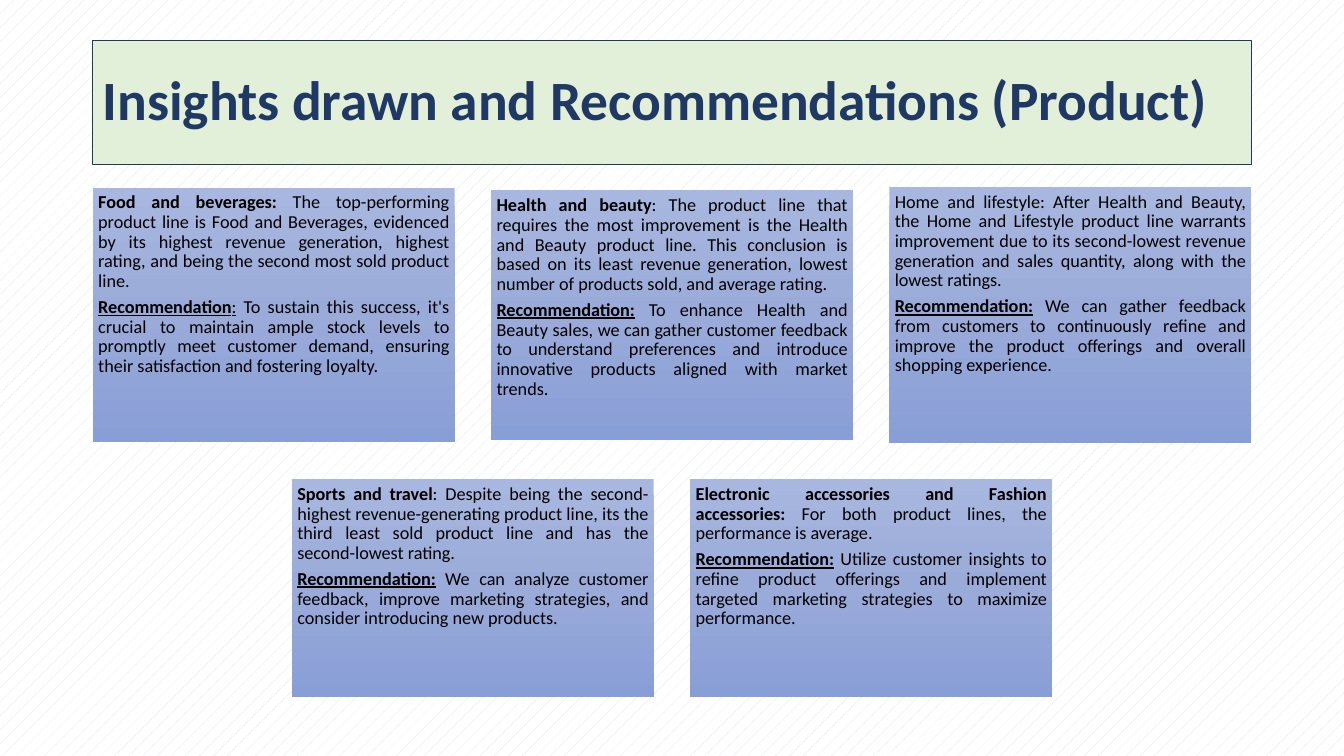
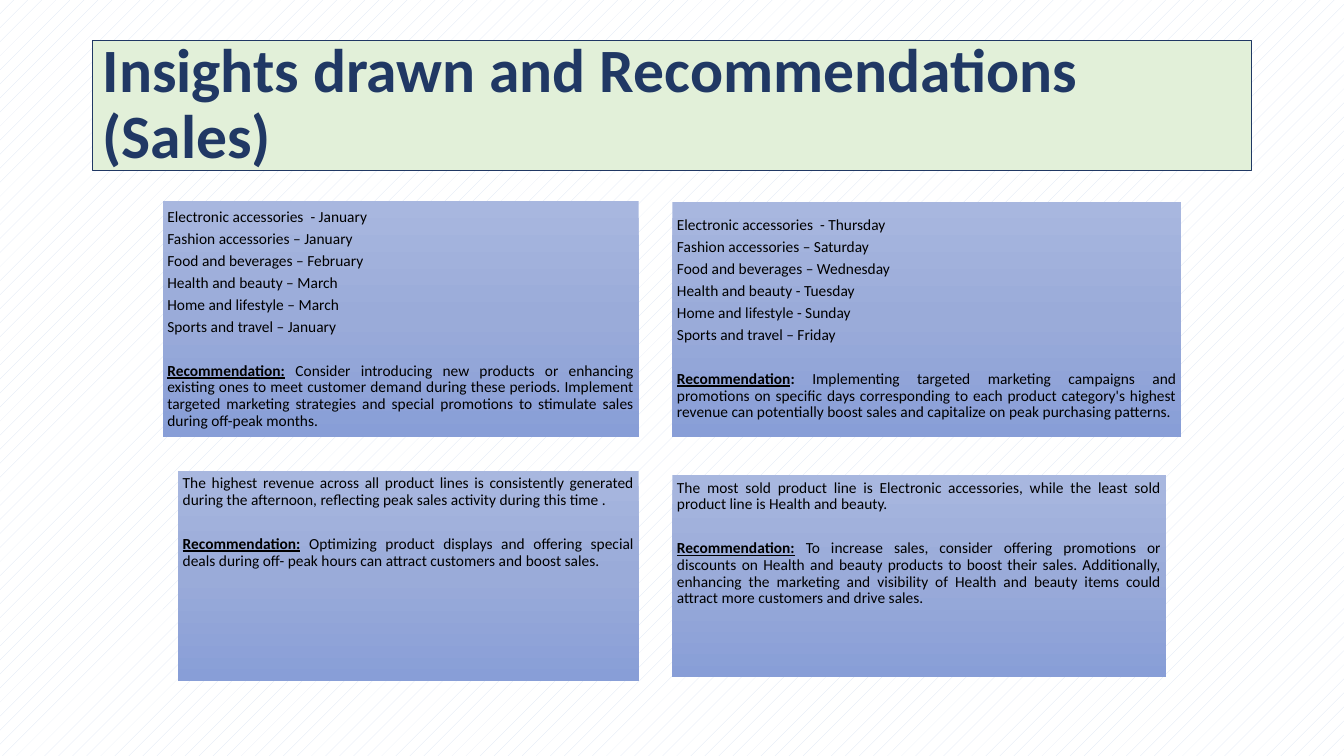
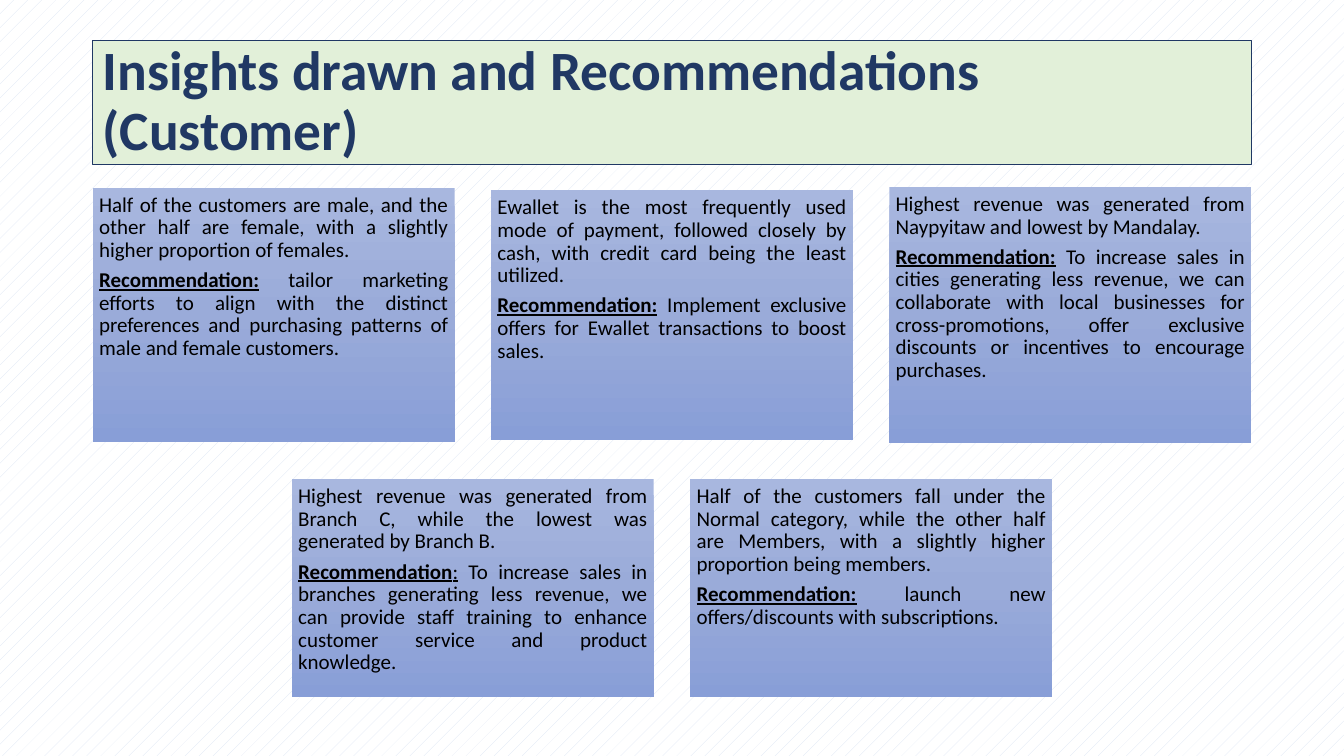
"""Build three slides of retail insights and recommendations."""
from copy import deepcopy

from pptx import Presentation
from pptx.dml.color import RGBColor
from pptx.enum.dml import MSO_PATTERN
from pptx.enum.shapes import MSO_SHAPE
from pptx.enum.text import MSO_ANCHOR, PP_ALIGN
from pptx.oxml.ns import qn
from pptx.util import Pt

NAVY = RGBColor(0x20, 0x38, 0x64)
PALE_GREEN = RGBColor(0xE2, 0xF0, 0xD9)
PALE_BLUE = RGBColor(0xDA, 0xE3, 0xF3)
WHITE = RGBColor(0xFF, 0xFF, 0xFF)
BLACK = RGBColor(0, 0, 0)
PANEL_GRADIENT = [
    (0, RGBColor(0xA8, 0xB7, 0xDF)),
    (0.5, RGBColor(0x9A, 0xAB, 0xD9)),
    (1, RGBColor(0x88, 0x9E, 0xD7)),
]
FONT = "Calibri"
LINE_SPACING = 0.9
SLIDE_WIDTH, SLIDE_HEIGHT = 960, 540
TITLE_LEFT, TITLE_TOP, TITLE_WIDTH = 66.25, 28.75, 827.5

PLAIN, BOLD, UNDERLINED, LABEL = (False, False), (True, False), (False, True), (True, True)
RECOMMENDATION = [("Recommendation:", LABEL)]
LIGHT_COLON = [("Recommendation", LABEL), (":", UNDERLINED)]
BOLD_COLON = [("Recommendation", LABEL), (":", BOLD)]

FIVE_PANEL_ROWS = [
    {"middle": 225, "gap": 26, "sizes": [(258.5, 182), (258.5, 178), (258.5, 183)]},
    {"middle": 420, "gap": 26, "sizes": [(258.5, 155.5)] * 2},
]
FOUR_PANEL_ROWS = [
    {"middle": 228, "gap": 24, "sizes": [(340, 168.5), (363.5, 168)]},
    {"middle": 411.5, "gap": 24, "sizes": [(329, 150), (352.5, 144)]},
]

SLIDES = [
    {
        "title": "Insights drawn and Recommendations (Product)",
        "title_size": 39.6, "title_height": 89, "size": 13, "advice_gap": 0,
        "rows": FIVE_PANEL_ROWS,
        "panels": [
            ([("Food and beverages:", " The top-performing product line is Food and Beverages, "
               "evidenced by its highest revenue generation, highest rating, and being the "
               "second most sold product line.")],
             LIGHT_COLON,
             "To sustain this success, it's crucial to maintain ample stock levels to promptly "
             "meet customer demand, ensuring their satisfaction and fostering loyalty."),
            ([("Health and beauty", ": The product line that requires the most improvement is "
               "the Health and Beauty product line. This conclusion is based on its least "
               "revenue generation, lowest number of products sold, and average rating.")],
             RECOMMENDATION,
             "To enhance Health and Beauty sales, we can gather customer feedback to understand "
             "preferences and introduce innovative products aligned with market trends."),
            ([("", "Home and lifestyle: After Health and Beauty, the Home and Lifestyle product "
               "line warrants improvement due to its second-lowest revenue generation and sales "
               "quantity, along with the lowest ratings.")],
             RECOMMENDATION,
             "We can gather feedback from customers to continuously refine and improve the "
             "product offerings and overall shopping experience."),
            ([("Sports and travel", ": Despite being the second-highest revenue-generating "
               "product line, its the third least sold product line and has the second-lowest "
               "rating.")],
             RECOMMENDATION,
             "We can analyze customer feedback, improve marketing strategies, and consider "
             "introducing new products."),
            ([("Electronic accessories and Fashion accessories:",
               " For both product lines, the performance is average.")],
             RECOMMENDATION,
             "Utilize customer insights to refine product offerings and implement targeted "
             "marketing strategies to maximize performance."),
        ],
    },
    {
        "title": "Insights drawn and Recommendations (Sales)",
        "title_size": 44, "title_height": 93, "size": 11, "advice_gap": 15.75,
        "rows": FOUR_PANEL_ROWS,
        "panels": [
            ([("", "Electronic accessories  - January"),
              ("", "Fashion accessories – January"),
              ("", "Food and beverages – February"),
              ("", "Health and beauty – March"),
              ("", "Home and lifestyle – March"),
              ("", "Sports and travel – January")],
             RECOMMENDATION,
             "Consider introducing new products or enhancing existing ones to meet customer "
             "demand during these periods. Implement targeted marketing strategies and special "
             "promotions to stimulate sales during off-peak months."),
            ([("", "Electronic accessories  - Thursday"),
              ("", "Fashion accessories – Saturday"),
              ("", "Food and beverages – Wednesday"),
              ("", "Health and beauty - Tuesday"),
              ("", "Home and lifestyle - Sunday"),
              ("", "Sports and travel – Friday")],
             BOLD_COLON,
             "Implementing targeted marketing campaigns and promotions on specific days "
             "corresponding to each product category's highest revenue can potentially boost "
             "sales and capitalize on peak purchasing patterns."),
            ([("", "The highest revenue across all product lines is consistently generated "
               "during the afternoon, reflecting peak sales activity during this time .")],
             RECOMMENDATION,
             "Optimizing product displays and offering special deals during off- peak hours can "
             "attract customers and boost sales."),
            ([("", "The most sold product line is Electronic accessories, while the least sold "
               "product line is Health and beauty.")],
             RECOMMENDATION,
             "To increase sales, consider offering promotions or discounts on Health and beauty "
             "products to boost their sales. Additionally, enhancing the marketing and "
             "visibility of Health and beauty items could attract more customers and drive "
             "sales."),
        ],
    },
    {
        "title": "Insights drawn and Recommendations (Customer)",
        "title_size": 39.6, "title_height": 89, "size": 15, "advice_gap": 0,
        "rows": FIVE_PANEL_ROWS,
        "panels": [
            ([("", "Half of the customers are male, and the other half are female, with a "
               "slightly higher proportion of females.")],
             RECOMMENDATION,
             "tailor marketing efforts to align with the distinct preferences and purchasing "
             "patterns of male and female customers."),
            ([("", "Ewallet is the most frequently used mode of payment, followed closely by "
               "cash, with credit card being the least utilized.")],
             RECOMMENDATION,
             "Implement exclusive offers for Ewallet transactions to boost sales."),
            ([("", "Highest revenue was generated from Naypyitaw and lowest by Mandalay.")],
             RECOMMENDATION,
             "To increase sales in cities generating less revenue, we can collaborate with "
             "local businesses for cross-promotions, offer exclusive discounts or incentives "
             "to encourage purchases."),
            ([("", "Highest revenue was generated from Branch C, while the lowest was generated "
               "by Branch B.")],
             LIGHT_COLON,
             "To increase sales in branches generating less revenue, we can provide staff "
             "training to enhance customer service and product knowledge."),
            ([("", "Half of the customers fall under the Normal category, while the other half "
               "are Members, with a slightly higher proportion being members.")],
             RECOMMENDATION,
             "launch new offers/discounts with subscriptions."),
        ],
    },
]


def add_box(slide, left, top, width, height):
    shape = slide.shapes.add_shape(
        MSO_SHAPE.RECTANGLE, Pt(left), Pt(top), Pt(width), Pt(height))
    shape.shadow.inherit = False
    shape.text_frame.word_wrap = True
    return shape


def write_runs(paragraph, runs, size, color):
    paragraph.line_spacing = LINE_SPACING
    for text, (bold, underline) in runs:
        run = paragraph.add_run()
        run.text = text
        font = run.font
        font.name, font.size, font.color.rgb = FONT, Pt(size), color
        font.bold, font.underline = bold, underline


def add_title(slide, text, size, height):
    shape = add_box(slide, TITLE_LEFT, TITLE_TOP, TITLE_WIDTH, height)
    shape.fill.solid()
    shape.fill.fore_color.rgb = PALE_GREEN
    shape.line.color.rgb = NAVY
    shape.line.width = Pt(0.75)
    shape.text_frame.vertical_anchor = MSO_ANCHOR.MIDDLE
    paragraph = shape.text_frame.paragraphs[0]
    paragraph.alignment = PP_ALIGN.LEFT
    write_runs(paragraph, [(text, BOLD)], size, NAVY)


def fill_with_gradient(shape):
    shape.fill.gradient()
    shape.fill.gradient_angle = 270
    stop_list = shape._element.spPr.find(qn("a:gradFill")).find(qn("a:gsLst"))
    stop_list.insert(1, deepcopy(stop_list[0]))
    for stop, (position, color) in zip(shape.fill.gradient_stops, PANEL_GRADIENT):
        stop.position = position
        stop.color.rgb = color


def add_panel(slide, place, panel, size, advice_gap):
    findings, label, advice = panel
    is_list = len(findings) > 1
    shape = add_box(slide, *place)
    fill_with_gradient(shape)
    shape.line.fill.background()
    frame = shape.text_frame
    frame.vertical_anchor = MSO_ANCHOR.MIDDLE if is_list else MSO_ANCHOR.TOP
    inset = Pt(0.3 * size)
    frame.margin_left = frame.margin_right = frame.margin_top = frame.margin_bottom = inset

    lines = [[(heading, BOLD), (text, PLAIN)] if heading else [(text, PLAIN)]
             for heading, text in findings]
    lines.append(label + [(" " + advice, PLAIN)])
    for index, runs in enumerate(lines):
        paragraph = frame.add_paragraph() if index else frame.paragraphs[0]
        is_advice = index == len(findings)
        paragraph.alignment = (
            PP_ALIGN.LEFT if is_list and not is_advice else PP_ALIGN.JUSTIFY)
        paragraph.space_after = Pt(0.35 * size)
        if is_advice:
            paragraph.space_before = Pt(advice_gap)
        write_runs(paragraph, runs, size, BLACK)


def panel_places(rows):
    for row in rows:
        widths = [width for width, _ in row["sizes"]]
        left = (SLIDE_WIDTH - sum(widths) - row["gap"] * (len(widths) - 1)) / 2
        for width, height in row["sizes"]:
            yield left, row["middle"] - height / 2, width, height
            left += width + row["gap"]


def main():
    presentation = Presentation()
    presentation.slide_width = Pt(SLIDE_WIDTH)
    presentation.slide_height = Pt(SLIDE_HEIGHT)
    background = presentation.slide_master.background.fill
    background.patterned()
    background.pattern = MSO_PATTERN.PERCENT_5
    background.fore_color.rgb = PALE_BLUE
    background.back_color.rgb = WHITE

    for content in SLIDES:
        slide = presentation.slides.add_slide(presentation.slide_layouts[6])
        add_title(slide, content["title"], content["title_size"], content["title_height"])
        for place, panel in zip(panel_places(content["rows"]), content["panels"]):
            add_panel(slide, place, panel, content["size"], content["advice_gap"])
    presentation.save("out.pptx")


if __name__ == "__main__":
    main()
